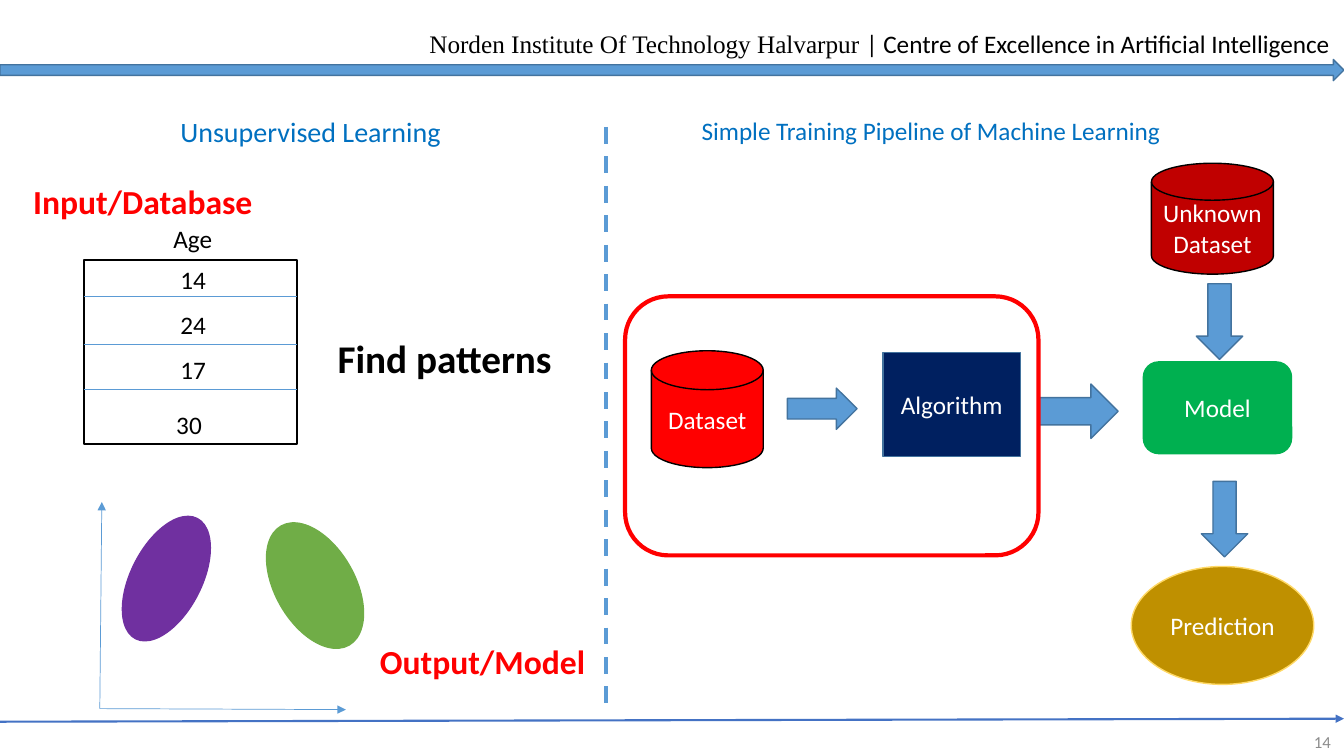
"""Build a slide on unsupervised learning and a simple training pipeline."""
from dataclasses import dataclass
from typing import Any

from lxml import etree
from pptx import Presentation
from pptx.dml.color import RGBColor
from pptx.enum.dml import MSO_LINE
from pptx.enum.shapes import MSO_CONNECTOR, MSO_SHAPE
from pptx.enum.text import MSO_ANCHOR, MSO_AUTO_SIZE, PP_ALIGN
from pptx.oxml.ns import qn
from pptx.util import Emu, Pt

PX = 9144
STRAIGHT = MSO_CONNECTOR.STRAIGHT
DASH = MSO_LINE.DASH
ARROW = MSO_SHAPE.RIGHT_ARROW
RECTANGLE = MSO_SHAPE.RECTANGLE
ROUNDED = MSO_SHAPE.ROUNDED_RECTANGLE
ELLIPSE = MSO_SHAPE.OVAL
CYLINDER = MSO_SHAPE.FLOWCHART_MAGNETIC_DISK
PROCESS = MSO_SHAPE.FLOWCHART_ALTERNATE_PROCESS
LEFT, CENTER, RIGHT = PP_ALIGN.LEFT, PP_ALIGN.CENTER, PP_ALIGN.RIGHT
TOP, MIDDLE = MSO_ANCHOR.TOP, MSO_ANCHOR.MIDDLE
FIT, FIXED = MSO_AUTO_SIZE.SHAPE_TO_FIT_TEXT, MSO_AUTO_SIZE.NONE

COLORS = {
    "black": "000000", "white": "FFFFFF", "gray": "8C8C8C", "red": "FF0000",
    "dark red": "C00000", "blue": "5B9BD5", "edge blue": "43739E",
    "footer blue": "4472C4", "title blue": "0070C0", "navy": "002060",
    "purple": "7030A0", "leaf": "70AD47", "green": "00B050",
    "gold": "BF9000", "pale gold": "FFD966",
}


@dataclass(frozen=True)
class Run:
    text: str
    size: int = 18
    color: str = "black"
    bold: bool = False
    font: str = "Calibri"


@dataclass(frozen=True)
class Label:
    box: tuple[int, int, int, int]
    runs: tuple[Run, ...]
    wrap: bool = False
    align: PP_ALIGN = LEFT
    anchor: MSO_ANCHOR = TOP


@dataclass(frozen=True)
class Block:
    kind: MSO_SHAPE
    box: tuple[int, int, int, int]
    fill: str | None = "blue"
    edge: str = "edge blue"
    weight: float = 1
    text: str = ""
    rotation: float = 0


@dataclass(frozen=True)
class Stroke:
    start: tuple[int, int]
    end: tuple[int, int]
    weight: float = 0.5
    color: str = "blue"
    dashed: bool = False
    arrow: bool = False


AGE_BOX = (83, 258, 212, 183)
AGE_RULES = (294, 342, 386)
AGES = (("14", 169, 257), ("24", 169, 302), ("17", 169, 347), ("30", 165, 401))
AXIS_ORIGIN = (99, 703)

STROKES = [
    Stroke((0, 716), (1333, 713), 1.5, "footer blue", arrow=True),
    *(Stroke((83, y), (295, y)) for y in AGE_RULES),
    Stroke(AXIS_ORIGIN, (343, 704), arrow=True),
    Stroke(AXIS_ORIGIN, (101, 498), arrow=True),
    Stroke((601, 126), (601, 703), 3, dashed=True),
]

BLOCKS = [
    Block(ARROW, (0, 59, 1333, 21)),
    Block(RECTANGLE, AGE_BOX, None, "black", 1.5),
    Block(ELLIPSE, (130, 507, 70, 134), "purple", "purple", rotation=27.1),
    Block(ELLIPSE, (273, 513, 79, 136), "leaf", "leaf", rotation=330.3),
    Block(CYLINDER, (646, 348, 111, 116), "red", "black", text="Dataset"),
    Block(ARROW, (781, 385, 69, 41)),
    Block(RECTANGLE, (876, 350, 136, 103), "navy", text="Algorithm"),
    Block(ARROW, (1030, 381, 79, 54)),
    Block(PROCESS, (1134, 359, 147, 91), "green", "green", text="Model"),
    Block(ARROW, (1172, 296, 75, 46), rotation=90),
    Block(CYLINDER, (1142, 162, 121, 110), "dark red", "black", text="Unknown Dataset"),
    Block(ELLIPSE, (1122, 562, 181, 117), "gold", "pale gold", text="Prediction"),
    Block(ARROW, (1177, 492, 75, 46), rotation=90),
    Block(ROUNDED, (620, 294, 410, 257), None, "red", 3),
]

LABELS = [
    Label((416, 23, 918, 40), (
        Run("Norden Institute Of Technology Halvarpur ", font="Times New Roman"),
        Run("| Centre of Excellence in Artificial Intelligence"),
    )),
    Label((1030, 716, 300, 40), (Run("14", 12, "gray"),), True, RIGHT, MIDDLE),
    Label((169, 109, 281, 44), (Run("Unsupervised Learning", 20, "title blue"),)),
    Label((686, 109, 481, 40),
          (Run("Simple Training Pipeline of Machine Learning", 18, "title blue"),)),
    Label((23, 175, 240, 50), (Run("Input/Database", 24, "red", True),)),
    Label((162, 217, 59, 40), (Run("Age"),)),
    *(Label((x, y, 46, 40), (Run(age),)) for age, x, y in AGES),
    Label((325, 327, 245, 57), (Run("Find patterns", 28, bold=True),)),
    Label((367, 631, 226, 50), (Run("Output/Model", 24, "red", True),)),
]


def emu(*lengths: int) -> list[Emu]:
    return [Emu(length * PX) for length in lengths]


def rgb(name: str) -> RGBColor:
    return RGBColor.from_string(COLORS[name])


def apply(target: Any, values: dict[str, Any]) -> None:
    for name, value in values.items():
        setattr(target, name, value)


def write(frame: Any, runs: tuple[Run, ...], align: PP_ALIGN, frame_format: dict[str, Any]) -> None:
    apply(frame, frame_format)
    paragraph = frame.paragraphs[0]
    paragraph.alignment = align
    for item in runs:
        run = paragraph.add_run()
        run.text = item.text
        apply(run.font, {"name": item.font, "size": Pt(item.size), "bold": item.bold})
        run.font.color.rgb = rgb(item.color)


def draw_line(line: Any, color: str, weight: float) -> None:
    line.color.rgb = rgb(color)
    line.width = Pt(weight)


def add_stroke(slide: Any, stroke: Stroke) -> None:
    connector = slide.shapes.add_connector(STRAIGHT, *emu(*stroke.start, *stroke.end))
    draw_line(connector.line, stroke.color, stroke.weight)
    if stroke.dashed:
        connector.line.dash_style = DASH
    properties = connector._element.spPr
    if stroke.arrow:
        etree.SubElement(properties.find(qn("a:ln")), qn("a:tailEnd"), type="triangle")
    etree.SubElement(properties, qn("a:effectLst"))


def add_block(slide: Any, block: Block) -> None:
    shape = slide.shapes.add_shape(block.kind, *emu(*block.box))
    shape.shadow.inherit = False
    shape.rotation = block.rotation
    if block.fill:
        shape.fill.solid()
        shape.fill.fore_color.rgb = rgb(block.fill)
    else:
        shape.fill.background()
    draw_line(shape.line, block.edge, block.weight)
    if block.text:
        write(shape.text_frame, (Run(block.text, color="white"),), CENTER,
              {"word_wrap": True, "vertical_anchor": MIDDLE})


def add_label(slide: Any, label: Label) -> None:
    box = slide.shapes.add_textbox(*emu(*label.box))
    write(box.text_frame, label.runs, label.align, {
        "word_wrap": label.wrap,
        "vertical_anchor": label.anchor,
        "auto_size": FIXED if label.wrap else FIT,
    })


def main() -> None:
    presentation = Presentation()
    presentation.slide_width, presentation.slide_height = emu(1333, 750)
    slide = presentation.slides.add_slide(presentation.slide_layouts[6])
    for block in BLOCKS:
        add_block(slide, block)
    for stroke in STROKES:
        add_stroke(slide, stroke)
    for label in LABELS:
        add_label(slide, label)
    presentation.save("out.pptx")


if __name__ == "__main__":
    main()
